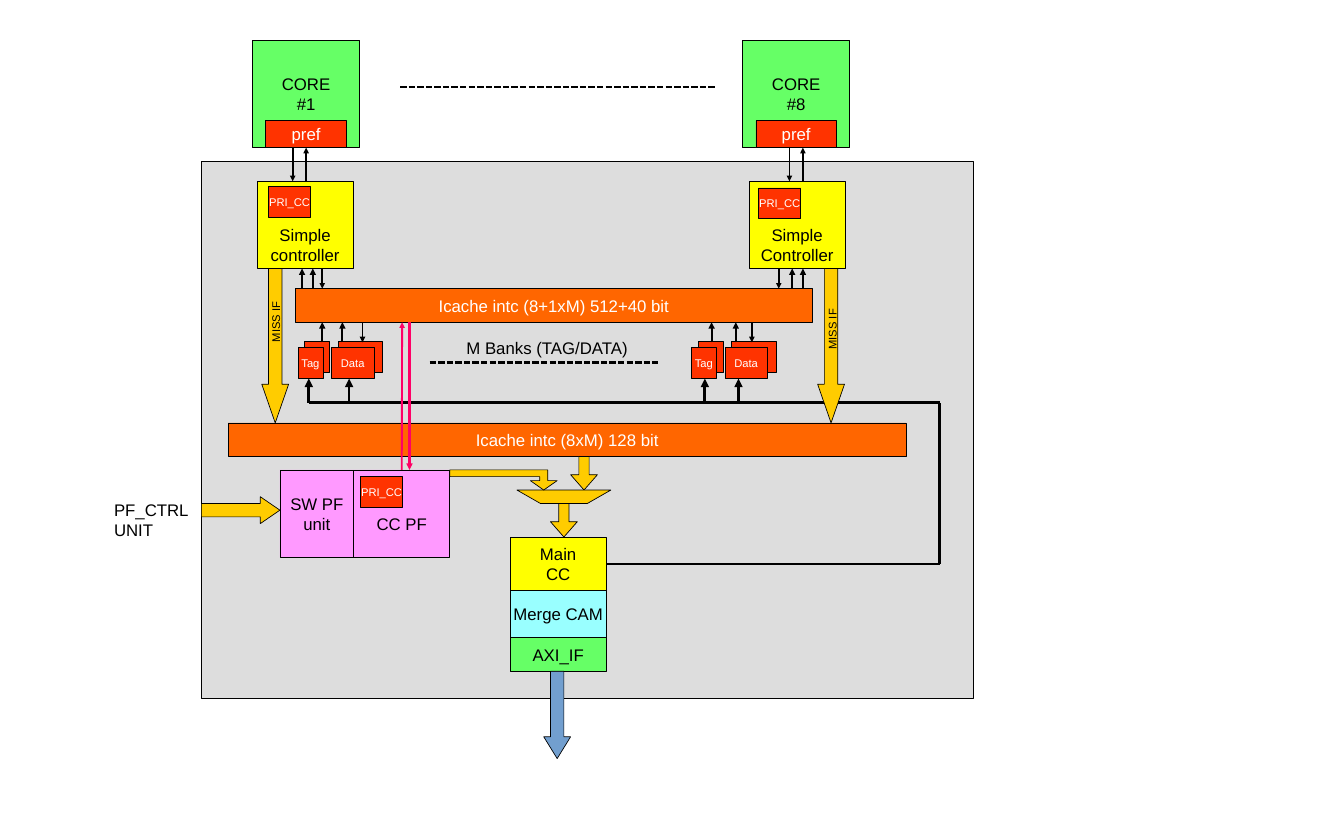
from lxml.etree import SubElement
from pptx import Presentation
from pptx.dml.color import RGBColor
from pptx.enum.dml import MSO_LINE
from pptx.enum.shapes import MSO_CONNECTOR, MSO_SHAPE
from pptx.enum.text import MSO_ANCHOR, PP_ALIGN
from pptx.oxml.ns import qn
from pptx.util import Cm, Pt

BLACK = RGBColor(0x00, 0x00, 0x00)
WHITE = RGBColor(0xFF, 0xFF, 0xFF)
GRAY = RGBColor(0xDD, 0xDD, 0xDD)
GREEN = RGBColor(0x66, 0xFF, 0x66)
RED = RGBColor(0xFF, 0x33, 0x00)
YELLOW = RGBColor(0xFF, 0xFF, 0x00)
ORANGE = RGBColor(0xFF, 0x66, 0x00)
GOLD = RGBColor(0xFF, 0xCC, 0x00)
CYAN = RGBColor(0x99, 0xFF, 0xFF)
BLUE = RGBColor(0x72, 0x9F, 0xCF)
PINK = RGBColor(0xFF, 0x99, 0xFF)
MAGENTA = RGBColor(0xFF, 0x00, 0x66)

HAIR, THICK, BUS = 0, 2.3, 3
LINE_HEIGHT = 0.29


def grid(*values):
    return [Cm(v * 2.54) for v in values]


class Diagram:
    font = "Arial"

    def __init__(self, slide):
        self.slide = slide
        self.shapes = slide.shapes

    def paint(self, sp, fill):
        sp.shadow.inherit = False
        sp.fill.solid()
        sp.fill.fore_color.rgb = fill
        sp.line.color.rgb = BLACK
        sp.line.width = Pt(HAIR)
        return sp

    def set_text(self, sp, text, size, color, align, skipped=0):
        tf = sp.text_frame
        tf.text = text
        tf.word_wrap = False
        tf.margin_left, tf.margin_right = grid(0.1, 0.1)
        tf.margin_top, tf.margin_bottom = grid(0.05 + skipped * LINE_HEIGHT, 0.05)
        for p in tf.paragraphs:
            p.alignment = align
            for r in p.runs:
                r.font.name = self.font
                r.font.size = Pt(size)
                r.font.color.rgb = color

    def box(self, x, y, w, h, fill, text="", size=18, color=BLACK, skipped=0):
        sp = self.paint(self.shapes.add_shape(MSO_SHAPE.RECTANGLE, *grid(x, y, w, h)), fill)
        if text:
            sp.text_frame.vertical_anchor = MSO_ANCHOR.MIDDLE
            self.set_text(sp, text, size, color, PP_ALIGN.CENTER, skipped)
        return sp

    def label(self, x, y, w, h, text, size=18, rotation=0):
        sp = self.shapes.add_textbox(*grid(x, y, w, h))
        sp.rotation = rotation
        self.set_text(sp, text, size, BLACK, PP_ALIGN.LEFT)

    def block_arrow(self, x, y, w, h, shaft, head, fill=GOLD, kind=MSO_SHAPE.DOWN_ARROW):
        sp = self.paint(self.shapes.add_shape(kind, *grid(x, y, w, h)), fill)
        sp.adjustments[0] = shaft
        sp.adjustments[1] = head

    def outline(self, points, fill):
        start, *rest = [grid(*point) for point in points]
        builder = self.shapes.build_freeform(*start)
        builder.add_line_segments(rest, close=True)
        self.paint(builder.convert_to_shape(), fill)

    def line(self, x1, y1, x2, y2, width=HAIR, color=BLACK, arrow=False, dashed=False,
             begin=None, end=None):
        cx = self.shapes.add_connector(MSO_CONNECTOR.STRAIGHT, *grid(x1, y1, x2, y2))
        if begin:
            cx.begin_connect(*begin)
        if end:
            cx.end_connect(*end)
        cx.line.color.rgb = color
        cx.line.width = Pt(width)
        if dashed:
            cx.line.dash_style = MSO_LINE.SQUARE_DOT
        if arrow:
            SubElement(cx.line._get_or_add_ln(), qn("a:tailEnd"), type="triangle")
        SubElement(cx._element.spPr, qn("a:effectLst"))

    def private_cache(self, x, y):
        self.box(x, y, 0.63, 0.46, RED, "PRI_CC", 12, WHITE)

    def core(self, x, number):
        self.box(x, 0.6, 1.6, 1.6, GREEN, f"CORE\n#{number}")
        return self.box(x + 0.2, 1.8, 1.2, 0.4, RED, "pref", color=WHITE)

    def controller(self, x, text):
        self.box(x, 2.7, 1.43, 1.3, YELLOW, text, skipped=2)

    def bank(self, x):
        for left, front, back, text in ((x, 0.37, 0.37, "Tag"), (x + 0.5, 0.63, 0.66, "Data")):
            self.box(left + 0.1, 5.09, back, 0.46, RED)
            self.box(left, 5.18, front, 0.46, RED, text, 12, WHITE)


def draw_cores(d):
    pref = d.core(3.76, 1)
    d.core(11.06, 8)
    d.line(5.96, 1.3, 10.66, 1.3, THICK, dashed=True)
    d.controller(3.83, "Simple\ncontroller")
    d.controller(11.16, "Simple\nController")
    d.private_cache(4, 2.78)
    d.private_cache(11.3, 2.8)
    d.line(4.56, 2.7, 4.56, 2.2, arrow=True, end=(pref, 2))
    d.line(11.96, 2.7, 11.96, 2.2, arrow=True)
    for x in (4.36, 11.76):
        d.line(x, 2.2, x, 2.7, arrow=True)


def draw_banks(d):
    d.box(4.4, 4.3, 7.7, 0.5, ORANGE, "Icache intc (8+1xM) 512+40 bit", color=WHITE)
    for x in (4.44, 10.3):
        d.bank(x)
    for x in (4.5, 4.66, 11.8, 11.96):
        d.line(x, 4.3, x, 4, THICK, arrow=True)
    for x in (4.8, 11.6):
        d.line(x, 4, x, 4.3, arrow=True)
    for x in (4.8, 5.1, 10.6, 10.96):
        d.line(x, 5.1, x, 4.8, THICK, arrow=True)
    for x in (5.4, 11.2):
        d.line(x, 4.8, x, 5.1, arrow=True)
    d.line(6.4, 5.4, 9.8, 5.4, THICK, dashed=True)
    d.label(6.85, 4.98, 2.6, 0.38, "M Banks (TAG/DATA)")


def draw_main_path(d):
    d.box(3.4, 6.3, 10.1, 0.5, ORANGE, "Icache intc (8xM) 128 bit", color=WHITE)
    main_cc = d.box(7.6, 8, 1.43, 0.8, YELLOW, "Main\nCC")
    d.box(7.6, 8.8, 1.43, 0.7, CYAN, "Merge CAM")
    d.box(7.6, 9.5, 1.43, 0.5, GREEN, "AXI_IF")
    d.line(9.03, 8.4, 14, 8.4, BUS, begin=(main_cc, 3))
    d.line(14, 6, 14, 8.4, BUS)
    d.line(14, 6, 4.6, 6, BUS)
    for x in (4.6, 5.2, 10.5, 11):
        d.line(x, 6, x, 5.64, BUS, arrow=True)
    for x, text_x, text_y in ((3.9, 3.7, 4.65), (12.18, 11.99, 4.76)):
        d.block_arrow(x, 4, 0.4, 2.3, 0.5, 1.44)
        d.label(text_x, text_y, 0.8, 0.29, "MISS IF", 12, 270)
    for x, y in ((8.5, 6.8), (8.2, 7.5)):
        d.block_arrow(x, y, 0.4, 0.5, 0.38, 0.57)
    d.block_arrow(8.1, 10, 0.4, 1.3, 0.5, 0.81, BLUE)
    d.outline([(7.7, 7.3), (9.1, 7.3), (8.75, 7.5), (8.05, 7.5)], GOLD)


def draw_prefetch(d):
    d.box(4.17, 7, 1.1, 1.3, PINK, "SW PF\nunit")
    cc_pf = d.box(5.27, 7, 1.43, 1.3, PINK, "CC PF", skipped=1)
    d.private_cache(5.37, 7.1)
    d.outline([(6.7, 7), (8.16, 7), (8.16, 7.16), (8.3, 7.16), (8.1, 7.3),
               (7.9, 7.16), (8.04, 7.16), (8.04, 7.1), (6.7, 7.1)], GOLD)
    d.line(6.1, 4.8, 6.1, 7, THICK, MAGENTA, arrow=True)
    d.line(5.99, 7, 5.99, 4.8, HAIR, MAGENTA, arrow=True, begin=(cc_pf, 0))
    d.block_arrow(3, 7.4, 1.17, 0.4, 0.5, 0.73, kind=MSO_SHAPE.RIGHT_ARROW)
    d.label(1.6, 7.4, 1.31, 0.66, "PF_CTRL\nUNIT")


def main():
    prs = Presentation()
    prs.slide_width, prs.slide_height = grid(20.02, 12.2)
    d = Diagram(prs.slides.add_slide(prs.slide_layouts[6]))
    d.box(3, 2.4, 11.5, 8, GRAY)
    draw_cores(d)
    draw_banks(d)
    draw_main_path(d)
    draw_prefetch(d)
    prs.save("out.pptx")


if __name__ == "__main__":
    main()
